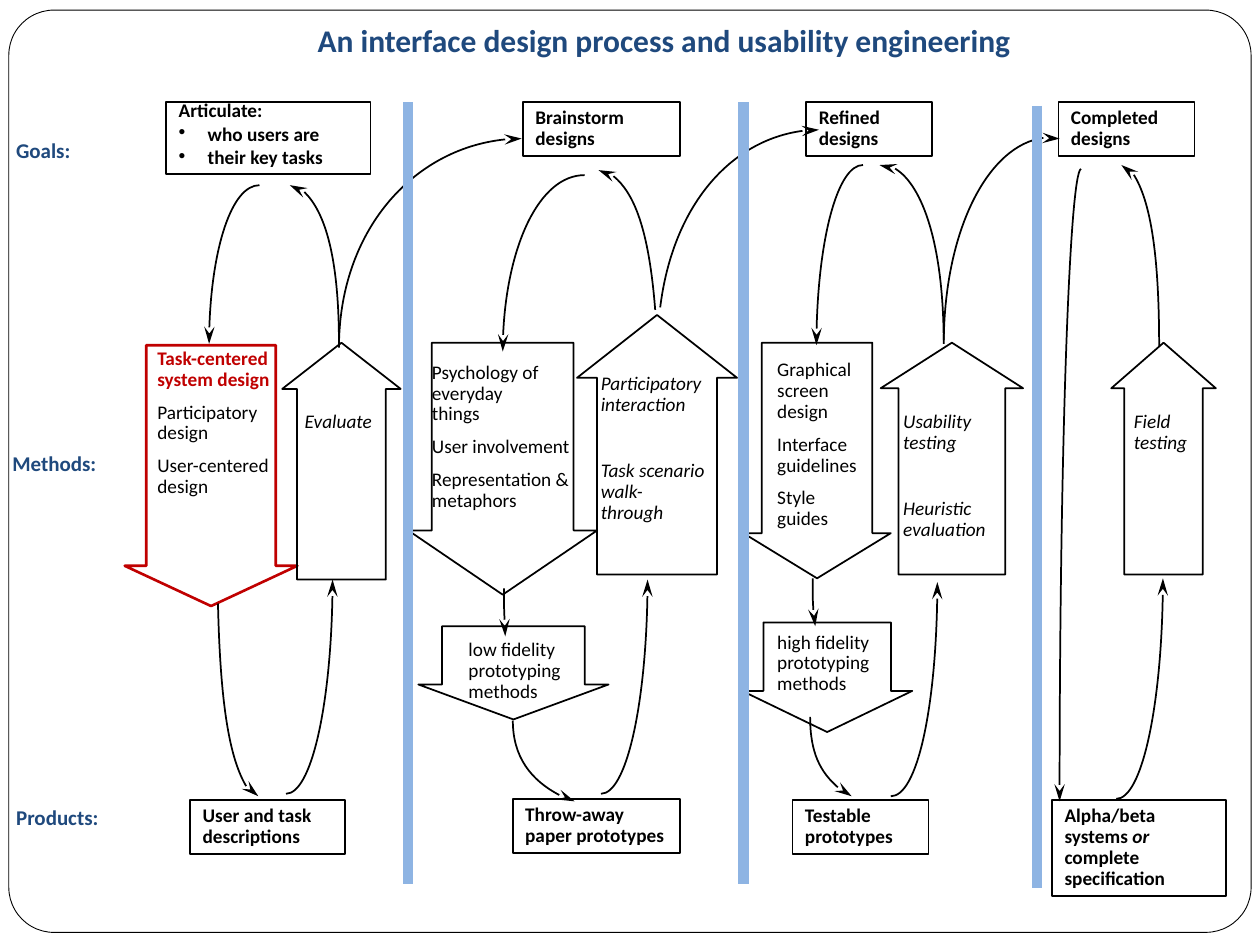
from lxml.etree import SubElement
from pptx import Presentation
from pptx.dml.color import RGBColor
from pptx.enum.shapes import MSO_CONNECTOR, MSO_SHAPE
from pptx.enum.text import MSO_ANCHOR, MSO_AUTO_SIZE, PP_ALIGN
from pptx.oxml.ns import qn
from pptx.util import Inches, Pt

COLORS = {"ink": "000000", "paper": "FFFFFF", "heading": "1F497D",
          "focus": "C00000", "divider": "8EB4E3"}
FONT = "Calibri"
BLANK_LINE = 26  # points before a paragraph that starts a new group


def rgb(name):
    return RGBColor.from_string(COLORS[name])


def write_text(frame, paragraphs, size=11, color="ink", bold=False, italic=False,
               spacing=0.9, before=6.9, wrap=True):
    """Fill a frame; a paragraph is a string or a (string, overrides) pair."""
    frame.word_wrap = wrap
    frame.auto_size = MSO_AUTO_SIZE.SHAPE_TO_FIT_TEXT
    frame.vertical_anchor = MSO_ANCHOR.TOP
    frame.margin_left = frame.margin_right = Inches(0.1)
    frame.margin_top = frame.margin_bottom = Inches(0.05)
    for index, entry in enumerate(paragraphs):
        text, own = entry if isinstance(entry, tuple) else (entry, {})
        paragraph = frame.paragraphs[0] if index == 0 else frame.add_paragraph()
        paragraph.text = text
        paragraph.alignment = PP_ALIGN.LEFT
        paragraph.line_spacing = spacing
        paragraph.space_before = Pt(own.get("before", before))
        if own.get("bullet"):
            add_bullet(paragraph)
        for run in paragraph.runs:
            run.font.name, run.font.size = FONT, Pt(size)
            run.font.bold = own.get("bold", bold)
            run.font.italic = italic
            run.font.color.rgb = rgb(own.get("color", color))


def add_bullet(paragraph):
    properties = paragraph._p.get_or_add_pPr()
    properties.set("marL", str(Inches(0.23)))
    properties.set("indent", str(-Inches(0.23)))
    SubElement(properties, qn("a:buFont"), typeface="Arial")
    SubElement(properties, qn("a:buChar"), char="•")


class ProcessSlide:
    def __init__(self, slide, line_width=1):
        self.slide = slide
        self.shapes = slide.shapes
        self.line_width = line_width

    def outline(self, kind, box, color="ink", width=None, fill=None):
        shape = self.shapes.add_shape(kind, *map(Inches, box))
        self.style(shape, color, width, fill)
        return shape

    def style(self, shape, color="ink", width=None, fill=None):
        shape.shadow.inherit = False
        if fill:
            shape.fill.solid()
            shape.fill.fore_color.rgb = rgb(fill)
        else:
            shape.fill.background()
        shape.line.color.rgb = rgb(color)
        shape.line.width = Pt(width or self.line_width)

    def frame(self, box):
        border = self.outline(MSO_SHAPE.ROUNDED_RECTANGLE, box, width=0.5, fill="paper")
        border.adjustments[0] = 0.049

    def title(self, box, text):
        """Place the title placeholder in front of the frame."""
        title = self.shapes.title
        title.left, title.top, title.width, title.height = map(Inches, box)
        write_text(title.text_frame, [text], size=18, color="heading", bold=True,
                   spacing=1.0, before=0, wrap=False)
        self.shapes._spTree.append(title._element)

    def row_label(self, box, text):
        label = self.shapes.add_textbox(*map(Inches, box))
        write_text(label.text_frame, [text], size=12, color="heading", bold=True,
                   spacing=1.0, before=0, wrap=False)

    def card(self, box, paragraphs, **fmt):
        card = self.outline(MSO_SHAPE.RECTANGLE, box)
        write_text(card.text_frame, paragraphs, bold=True, **fmt)
        return card

    def note(self, box, paragraphs, **fmt):
        note = self.shapes.add_textbox(*map(Inches, box))
        write_text(note.text_frame, paragraphs, **fmt)

    def block_arrow(self, kind, box, head, color="ink", width=None):
        arrow = self.outline(kind, box, color, width)
        arrow.adjustments[0], arrow.adjustments[1] = 0.75, head

    def curve(self, start, *controls):
        """Draw cubic Bezier segments, three points each, with an arrowhead at the end."""
        builder = self.shapes.build_freeform(*map(Inches, start), scale=1.0)
        builder.add_line_segments([tuple(map(Inches, point)) for point in controls],
                                  close=False)
        curve = builder.convert_to_shape()
        self.style(curve)
        outline = next(curve._element.iter(qn("a:path")))
        straight = outline.findall(qn("a:lnTo"))
        for first in range(0, len(straight), 3):
            segment = SubElement(outline, qn("a:cubicBezTo"))
            for step in straight[first:first + 3]:
                segment.append(step[0])
                outline.remove(step)
        SubElement(curve.line._get_or_add_ln(), qn("a:tailEnd"),
                   type="stealth", w="med", len="lg")

    def divider(self, x, top, height=6.21):
        line = self.shapes.add_connector(MSO_CONNECTOR.STRAIGHT, Inches(x), Inches(top),
                                         Inches(x), Inches(top + height))
        line.line.color.rgb = rgb("divider")
        line.line.width = Pt(6)
        SubElement(line._element.spPr, qn("a:effectLst"))


ROW_LABELS = [((0.03, 1.04, 0.63, 0.3), "Goals:"),
              ((0, 3.53, 0.87, 0.3), "Methods:"),
              ((0.03, 6.34, 0.86, 0.3), "Products:")]

CARDS = [((4.15, 0.81, 1.25, 0.43), "Brainstorm designs"),
         ((6.4, 0.81, 1, 0.43), "Refined designs"),
         ((8.4, 0.81, 1.08, 0.43), "Completed designs"),
         ((1.51, 6.35, 1.23, 0.43), "User and task descriptions"),
         ((4.07, 6.34, 1.33, 0.43), "Throw-away paper prototypes"),
         ((6.29, 6.35, 1.08, 0.43), "Testable prototypes")]

METHODS = [
    ((1.15, 2.72, 1.19, 1.28),
     [("Task-centered system design", {"bold": True, "color": "focus"}),
      "Participatory design", "User-centered design"]),
    ((3.33, 2.83, 1.4, 1.54),
     ["Psychology of everyday \vthings", "User involvement", "Representation & metaphors"]),
    ((3.62, 5.03, 1.04, 0.6), ["low fidelity prototyping methods"]),
    ((6.07, 2.81, 0.95, 1.45),
     ["Graphical\vscreen\vdesign", "Interface guidelines", "Style\vguides"]),
    ((6.07, 4.97, 1.13, 0.6), ["high fidelity prototyping methods"])]

EVALUATIONS = [
    ((2.32, 3.22, 0.92, 0.27), ["Evaluate"]),
    ((4.67, 2.92, 1.17, 1.28),
     ["Participatory interaction", ("Task scenario walk-\vthrough", {"before": BLANK_LINE})]),
    ((7.07, 3.22, 0.96, 1.12),
     ["Usability testing", ("Heuristic evaluation", {"before": BLANK_LINE})]),
    ((8.9, 3.22, 0.85, 0.43), ["Field testing"])]

DOWN_ARROWS = [((3.24, 2.72, 1.5, 2), 0.34), ((3.32, 4.97, 1.51, 0.74), 0.375),
               ((5.9, 2.72, 1.17, 1.87), 0.306), ((5.89, 4.94, 1.35, 0.87), 0.375)]
UP_ARROWS = [((2.24, 2.72, 0.94, 1.88), 0.39), ((4.58, 2.5, 1.27, 2.06), 0.393),
             ((6.99, 2.72, 1.13, 1.84), 0.32), ((8.82, 2.72, 0.83, 1.84), 0.436)]

GOAL_TO_METHOD = [
    [(2.06, 1.47), (1.84, 1.47), (1.66, 2.03), (1.66, 2.73)],
    [(4.64, 1.39), (4.28, 1.39), (3.99, 2.02), (3.99, 2.79)],
    [(6.85, 1.31), (6.65, 1.31), (6.48, 1.95), (6.48, 2.74)]]
METHOD_TO_PRODUCT = [
    [(1.73, 4.79), (1.75, 5.67), (1.89, 6.32), (2.05, 6.32)],
    [(4, 4.67), (4, 4.88), (4.01, 5.05), (4.01, 5.05)],
    [(4.07, 5.72), (4.07, 6.01), (4.27, 6.27), (4.56, 6.36)],
    [(6.45, 4.59), (6.45, 4.8), (6.46, 4.97), (6.47, 4.97)],
    [(6.43, 5.69), (6.43, 5.98), (6.56, 6.23), (6.76, 6.32)],
    [(8.58, 1.34), (8.49, 1.37), (8.41, 3.58), (8.41, 6.3),
     (8.41, 6.32), (8.41, 6.34), (8.41, 6.36)]]
PRODUCT_TO_EVALUATION = [
    [(2.27, 6.3), (2.47, 6.3), (2.64, 5.54), (2.64, 4.6)],
    [(4.77, 6.3), (4.97, 6.3), (5.14, 5.54), (5.14, 4.6)],
    [(7.07, 6.32), (7.28, 6.32), (7.44, 5.56), (7.44, 4.62)],
    [(8.86, 6.34), (9.06, 6.34), (9.23, 5.56), (9.23, 4.59)]]
EVALUATION_TO_GOAL = [
    [(2.69, 2.73), (2.69, 2.03), (2.52, 1.47), (2.3, 1.47)],
    [(5.2, 2.46), (5.15, 1.82), (4.97, 1.35), (4.75, 1.35)],
    [(7.49, 2.73), (7.49, 1.94), (7.27, 1.31), (7.01, 1.31),
     (7, 1.31), (6.99, 1.31), (6.98, 1.31)],
    [(9.2, 2.75), (9.2, 1.95), (9.07, 1.31), (8.9, 1.31)]]
EVALUATION_TO_NEXT_GOAL = [
    [(2.69, 2.76), (2.69, 1.84), (3.34, 1.1), (4.14, 1.1)],
    [(5.24, 2.44), (5.34, 1.63), (5.87, 1.03), (6.5, 1.03)],
    [(7.49, 2.7), (7.5, 1.81), (7.88, 1.09), (8.34, 1.09),
     (8.36, 1.09), (8.38, 1.1), (8.41, 1.1)]]


def main():
    deck = Presentation()
    deck.slide_width, deck.slide_height = Inches(10), Inches(7.5)
    process = ProcessSlide(deck.slides.add_slide(deck.slide_layouts[5]))

    process.frame((0.07, 0.08, 9.86, 7.32))
    for box, text in ROW_LABELS:
        process.row_label(box, text)
    process.card((1.32, 0.81, 1.62, 0.57),
                 ["Articulate:", ("who users are", {"bullet": True}),
                  ("their key tasks", {"bullet": True})], spacing=0.5)
    for box, text in CARDS:
        process.card(box, [text])
    release = process.card((8.35, 6.35, 1.38, 0.76), ["Alpha/beta systems "])
    for text, italic in (("or", True), (" complete specification", False)):
        run = release.text_frame.paragraphs[0].add_run()
        run.text = text
        run.font.name, run.font.size = FONT, Pt(11)
        run.font.bold, run.font.italic = True, italic
        run.font.color.rgb = rgb("ink")

    for box, paragraphs in METHODS:
        process.note(box, paragraphs)
    for box, paragraphs in EVALUATIONS:
        process.note(box, paragraphs, italic=True)
    process.block_arrow(MSO_SHAPE.DOWN_ARROW, (0.99, 2.74, 1.37, 2.07), 0.233, "focus", 1.5)
    for kind, arrows in ((MSO_SHAPE.DOWN_ARROW, DOWN_ARROWS), (MSO_SHAPE.UP_ARROW, UP_ARROWS)):
        for box, head in arrows:
            process.block_arrow(kind, box, head)

    for flow in (GOAL_TO_METHOD, METHOD_TO_PRODUCT, PRODUCT_TO_EVALUATION,
                 EVALUATION_TO_GOAL, EVALUATION_TO_NEXT_GOAL):
        for points in flow:
            process.curve(*points)
    for x, top in ((3.24, 0.81), (5.9, 0.81), (8.23, 0.84)):
        process.divider(x, top)
    process.title((2.42, 0.12, 5.72, 0.4),
                  "An interface design process and usability engineering")
    deck.save("out.pptx")


if __name__ == "__main__":
    main()
